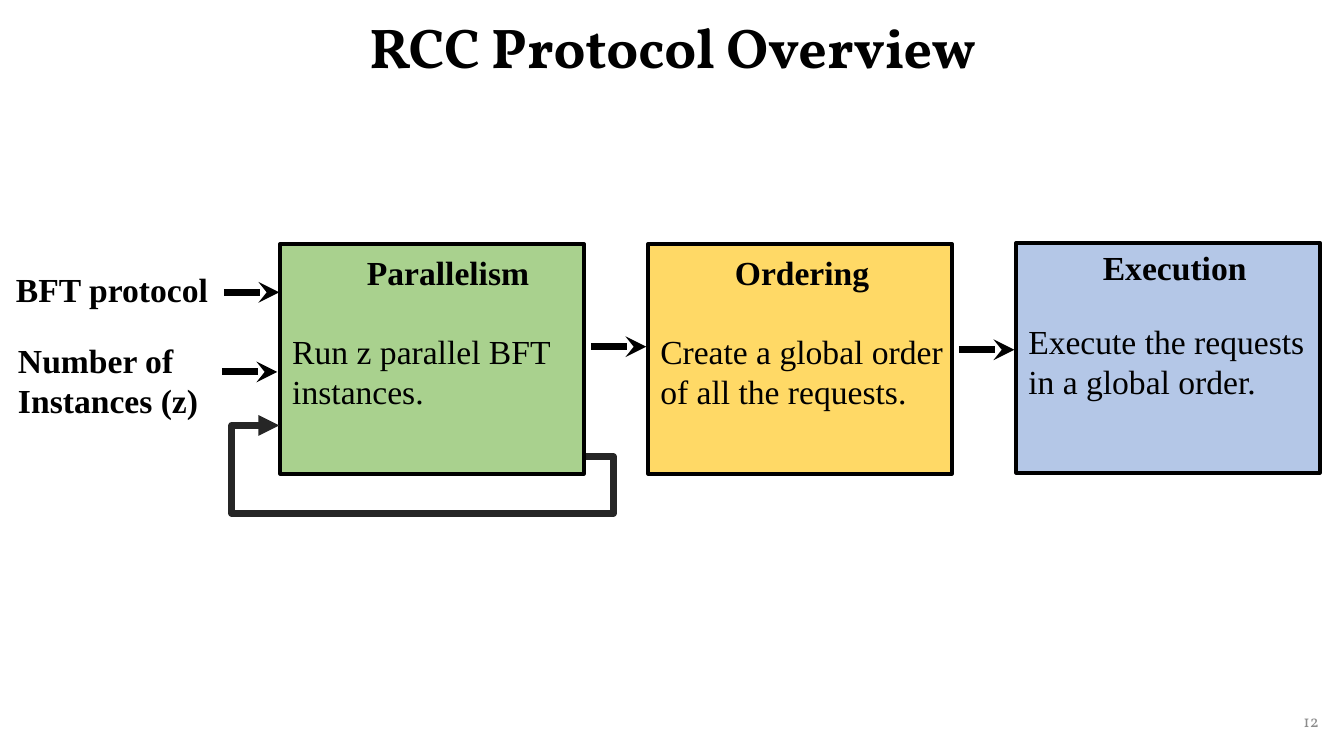
"""Build the RCC protocol overview slide."""
from dataclasses import dataclass

from lxml import etree
from pptx import Presentation
from pptx.dml.color import RGBColor
from pptx.enum.shapes import MSO_CONNECTOR, MSO_SHAPE
from pptx.enum.text import MSO_ANCHOR, MSO_AUTO_SIZE, PP_ALIGN
from pptx.oxml.ns import qn
from pptx.util import Inches, Pt

RECTANGLE = MSO_SHAPE.RECTANGLE
STRAIGHT, ELBOW = MSO_CONNECTOR.STRAIGHT, MSO_CONNECTOR.ELBOW
MIDDLE, TOP = MSO_ANCHOR.MIDDLE, MSO_ANCHOR.TOP
LEFT, CENTER, RIGHT = PP_ALIGN.LEFT, PP_ALIGN.CENTER, PP_ALIGN.RIGHT
FIT_SHAPE, NO_FIT = MSO_AUTO_SIZE.SHAPE_TO_FIT_TEXT, MSO_AUTO_SIZE.NONE

BODY_FONT, TITLE_FONT = "Times New Roman", "Vollkorn"
BLACK, CHARCOAL, GREY = "000000", "262626", "8C8C8C"
HEADING = {"name": BODY_FONT, "size": Pt(24), "bold": True}
BODY = {**HEADING, "bold": False}
TITLE = {"name": TITLE_FONT, "size": Pt(40), "bold": True}
NUMBER = {"name": TITLE_FONT, "size": Pt(12), "bold": False}
LABEL_FRAME = {"word_wrap": False, "auto_size": FIT_SHAPE, "vertical_anchor": TOP}
FIXED_FRAME = {"word_wrap": True, "auto_size": NO_FIT, "vertical_anchor": MIDDLE}

STAGE_WIDTH, STAGE_HEIGHT = 3.01, 2.28
HEADING_INDENT, BODY_INDENT = 0.76, 0.02
ARROW_LENGTH = 0.55


@dataclass(frozen=True)
class Label:
    """Lines of text and the place they take."""
    lines: tuple[str, ...]
    left: float
    top: float
    width: float
    height: float


@dataclass(frozen=True)
class Stage:
    """A protocol stage with its heading and description."""
    heading: str
    lines: tuple[str, ...]
    left: float
    top: float
    fill: str
    heading_top: float
    heading_width: float
    body_top: float
    body_width: float


STAGES = (
    Stage("Parallelism", ("Run z parallel BFT", "instances."),
          2.78, 2.42, "A9D18E", 2.45, 1.83, 3.23, 2.78),
    Stage("Ordering", ("Create a global order", "of all the requests."),
          6.43, 2.42, "FFD966", 2.45, 1.55, 3.23, 3.11),
    Stage("Execution", ("Execute the requests", "in a global order."),
          10.08, 2.41, "B4C7E7", 2.4, 1.64, 3.13, 3.05),
)
INPUTS = (
    Label(("BFT protocol",), 0.06, 2.62, 2.12, 0.5),
    Label(("Number of", "Instances (z)"), 0.08, 3.32, 2.01, 0.91),
)
ARROW_STARTS = ((2.22, 2.9), (2.2, 3.69), (5.86, 3.44), (9.51, 3.47))
LOOP_ADJUSTMENTS = (-9000, -181500, 115500)


def color(value: str) -> RGBColor:
    """Turn a hex string into a colour."""
    return RGBColor.from_string(value)


def apply(target, values: dict) -> None:
    """Set every format value on the target."""
    for name, value in values.items():
        setattr(target, name, value)


def write(box, lines: tuple[str, ...], font: dict, frame: dict,
          align=LEFT, ink: str = BLACK) -> None:
    """Write one paragraph per line in a box."""
    apply(box.text_frame, frame)
    box.text_frame.text = "\n".join(lines)
    for para in box.text_frame.paragraphs:
        para.alignment = align
        for span in para.runs:
            apply(span.font, font)
            span.font.color.rgb = color(ink)


def add_label(page, label: Label, font: dict, frame: dict = LABEL_FRAME,
              align=LEFT, ink: str = BLACK) -> None:
    """Add a text box holding a label."""
    place = (label.left, label.top, label.width, label.height)
    box = page.shapes.add_textbox(*map(Inches, place))
    write(box, label.lines, font, frame, align, ink)


def add_stage_box(page, stage: Stage) -> None:
    """Add the filled rectangle of a stage."""
    place = (stage.left, stage.top, STAGE_WIDTH, STAGE_HEIGHT)
    box = page.shapes.add_shape(RECTANGLE, *map(Inches, place))
    box.shadow.inherit = False
    box.fill.solid()
    box.fill.fore_color.rgb = color(stage.fill)
    box.line.color.rgb = color(BLACK)
    box.line.width = Pt(3)


def add_stage_text(page, stage: Stage) -> None:
    """Add the heading and description of a stage."""
    add_label(page, Label((stage.heading,), stage.left + HEADING_INDENT,
                          stage.heading_top, stage.heading_width, 0.5), HEADING)
    add_label(page, Label(stage.lines, stage.left + BODY_INDENT,
                          stage.body_top, stage.body_width, 0.91), BODY)


def add_arrow(page, kind, ends: tuple[float, ...], ink: str, head: str):
    """Add a thick connector with an arrowhead at its end."""
    arrow = page.shapes.add_connector(kind, *map(Inches, ends))
    arrow.line.color.rgb = color(ink)
    arrow.line.width = Pt(5)
    etree.SubElement(arrow.line._get_or_add_ln(), qn("a:tailEnd"), type=head)
    etree.SubElement(arrow._element.spPr, qn("a:effectLst"))
    return arrow


def add_loop(page) -> None:
    """Add the feedback arrow running below the first stage."""
    loop = add_arrow(page, ELBOW, (2.77, 4.22, 5.81, 4.53), CHARCOAL, "triangle")
    properties = loop._element.spPr
    properties.find(qn("a:xfrm")).set("rot", str(180 * 60000))
    geometry = properties.find(qn("a:prstGeom"))
    geometry.set("prst", "bentConnector5")
    guides = geometry.find(qn("a:avLst"))
    for index, amount in enumerate(LOOP_ADJUSTMENTS, start=1):
        etree.SubElement(guides, qn("a:gd"), name=f"adj{index}", fmla=f"val {amount}")


def add_title(page) -> None:
    """Place and fill the title placeholder."""
    title = page.shapes.title
    apply(title, {"left": Inches(0.92), "top": Inches(0),
                  "width": Inches(11.5), "height": Inches(0.99)})
    write(title, ("RCC Protocol Overview",), TITLE, FIXED_FRAME, CENTER)
    title.text_frame.paragraphs[0].line_spacing = 0.9


def main() -> None:
    """Build and save the deck."""
    deck = Presentation()
    apply(deck, {"slide_width": Inches(13.33), "slide_height": Inches(7.5)})
    page = deck.slides.add_slide(deck.slide_layouts[5])
    add_title(page)
    add_label(page, Label(("12",), 10.18, 6.95, 3, 0.4), NUMBER, FIXED_FRAME, RIGHT, GREY)
    for label in INPUTS:
        add_label(page, label, HEADING)
    for stage in STAGES:
        add_stage_box(page, stage)
    for stage in STAGES:
        add_stage_text(page, stage)
    add_loop(page)
    for left, top in ARROW_STARTS:
        add_arrow(page, STRAIGHT, (left, top, left + ARROW_LENGTH, top), BLACK, "stealth")
    deck.save("out.pptx")


if __name__ == "__main__":
    main()
